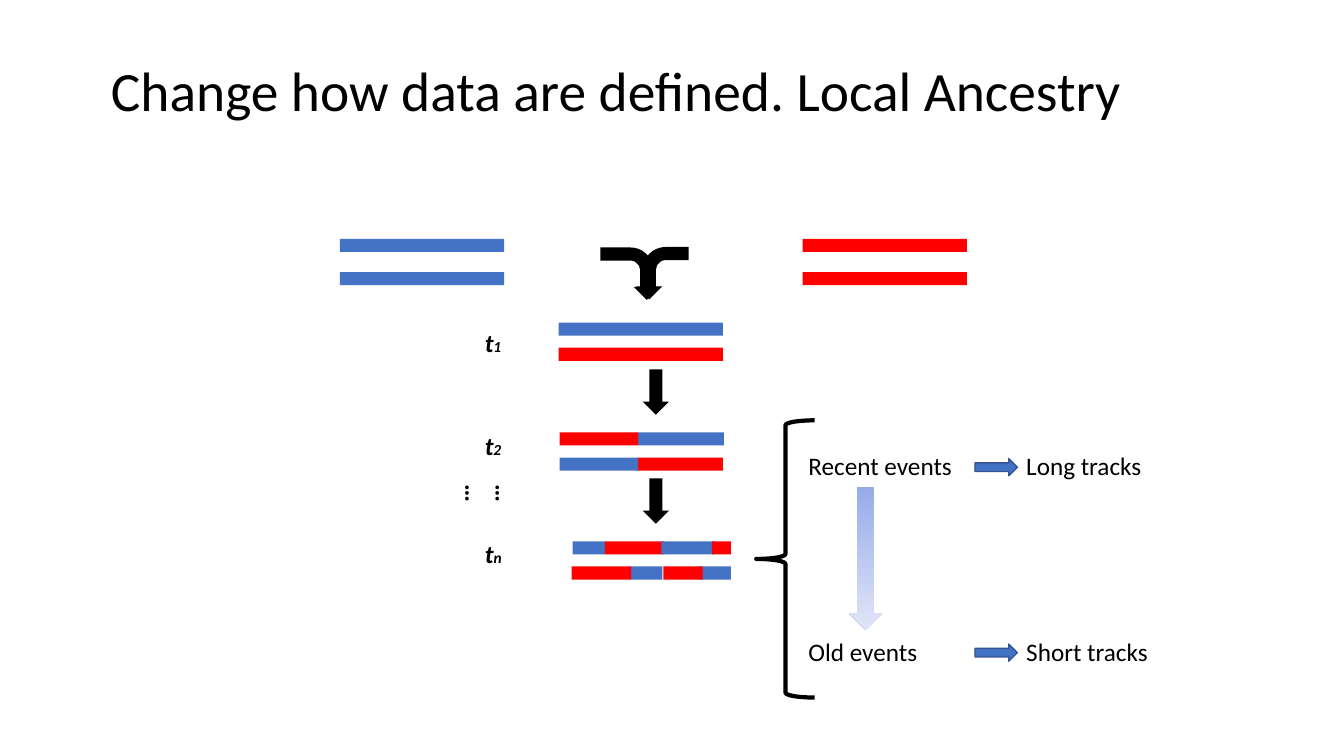
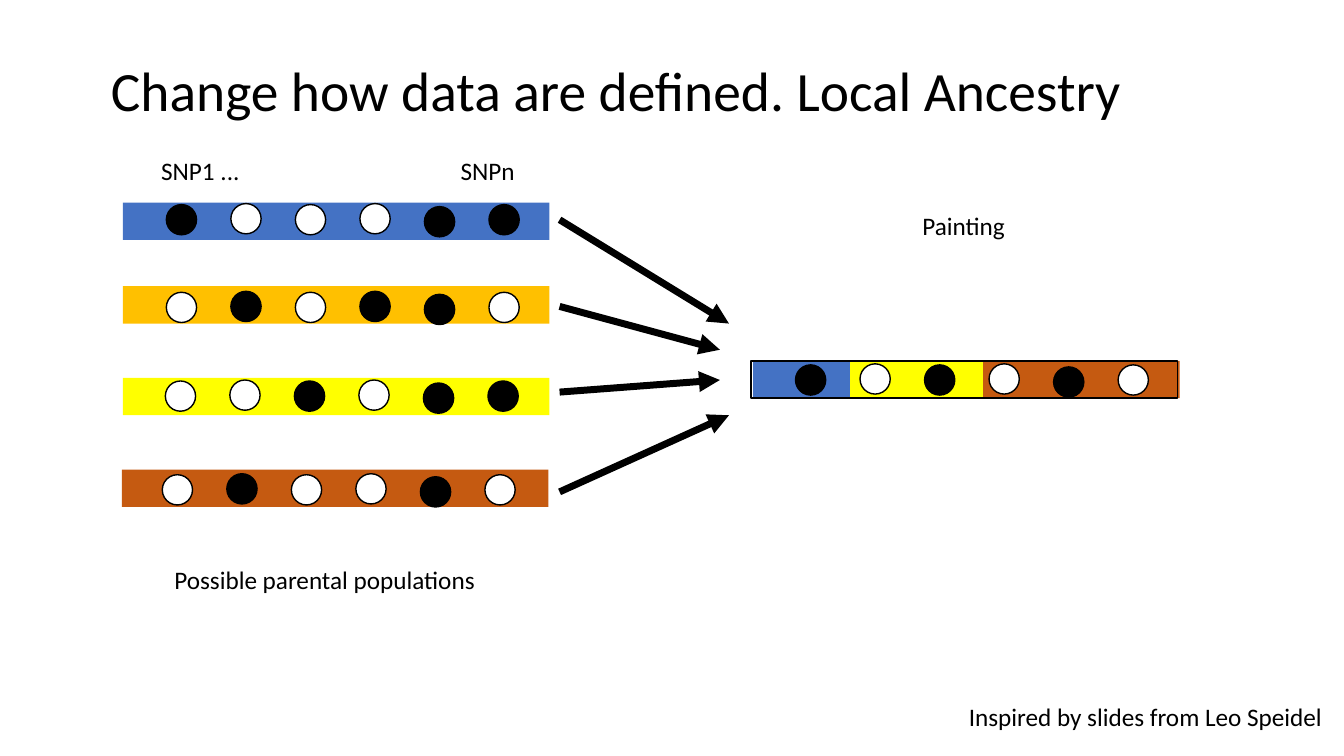
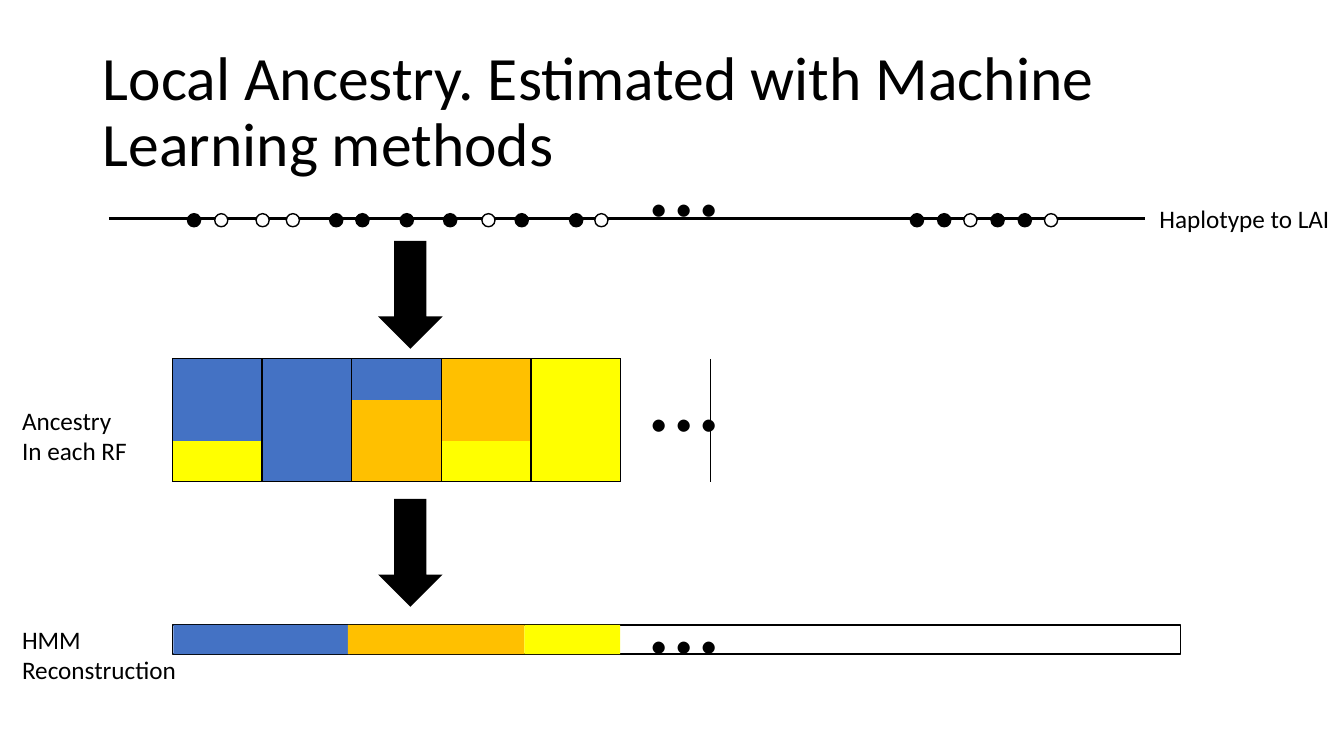
from dataclasses import dataclass
from typing import Optional

from lxml import etree
from pptx import Presentation
from pptx.dml.color import RGBColor
from pptx.enum import shapes, text
from pptx.oxml.ns import qn
from pptx.util import Inches, Pt

FONT = "Calibri"
COLORS = {
    "black": "000000", "white": "FFFFFF", "blue": "4472C4", "red": "FF0000",
    "orange": "FFC000", "yellow": "FFFF00", "brown": "C55A11",
    "edge": "325491", "fade_from": "96ABEA", "fade_to": "E0E5F7",
}
MSO = shapes.MSO_SHAPE


@dataclass
class Shape:
    x: float
    y: float
    w: float
    h: float
    fill: Optional[str] = None
    line: Optional[str] = None
    width: float = 1
    kind: MSO = MSO.RECTANGLE
    rot: float = 0
    flip: bool = False


@dataclass
class Label:
    x: float
    y: float
    w: float
    h: float
    text: str
    size: float = 18
    bold: bool = False
    sub: str = ""
    rot: float = 0
    wrap: bool = False


# Shared helpers
def rgb(name: str) -> RGBColor:
    return RGBColor.from_string(COLORS[name])


def style_font(font, size: float, bold: bool = False, italic: bool = False) -> None:
    font.name, font.size = FONT, Pt(size)
    font.bold, font.italic = bold, italic
    font.color.rgb = rgb("black")


def add_titled_slide(prs, title: str, box: tuple, size: float):
    s = prs.slides.add_slide(prs.slide_layouts[5])
    sp = s.shapes.title
    sp.left, sp.top, sp.width, sp.height = map(Inches, box)
    tf = sp.text_frame
    tf.text = title
    tf.word_wrap = True
    tf.auto_size = text.MSO_AUTO_SIZE.NONE
    tf.vertical_anchor = text.MSO_ANCHOR.MIDDLE
    p = tf.paragraphs[0]
    p.alignment, p.line_spacing = text.PP_ALIGN.LEFT, 0.9
    style_font(p.runs[0].font, size)
    return s


def draw_shape(s, item: Shape):
    sp = s.shapes.add_shape(item.kind, *map(Inches, (item.x, item.y, item.w, item.h)))
    sp.shadow.inherit = False
    sp.rotation = item.rot
    if item.flip:
        sp._element.spPr.find(qn("a:xfrm")).set("flipV", "1")
    if item.fill:
        sp.fill.solid()
        sp.fill.fore_color.rgb = rgb(item.fill)
    else:
        sp.fill.background()
    if item.line:
        sp.line.color.rgb = rgb(item.line)
        sp.line.width = Pt(item.width)
    else:
        sp.line.fill.background()
    return sp


def draw_label(s, item: Label):
    sp = s.shapes.add_textbox(*map(Inches, (item.x, item.y, item.w, item.h)))
    sp.rotation = item.rot
    tf = sp.text_frame
    tf.text = item.text
    tf.word_wrap = item.wrap
    tf.auto_size = text.MSO_AUTO_SIZE.SHAPE_TO_FIT_TEXT
    for p in tf.paragraphs:
        for r in p.runs:
            style_font(r.font, item.size, item.bold, bool(item.sub))
    if item.sub:
        r = tf.paragraphs[0].add_run()
        r.text = item.sub
        style_font(r.font, 11, item.bold, True)
    return sp


def draw_line(s, start: tuple, end: tuple, width: float, arrow: bool = False) -> None:
    cxn = s.shapes.add_connector(shapes.MSO_CONNECTOR.STRAIGHT, *map(Inches, start + end))
    cxn.line.color.rgb = rgb("black")
    cxn.line.width = Pt(width)
    if arrow:
        etree.SubElement(cxn.line._get_or_add_ln(), qn("a:tailEnd"), type="triangle")
    etree.SubElement(cxn._element.spPr, qn("a:effectLst"))


def draw_dot(s, x: float, y: float, d: float, bit: str) -> None:
    fill = "black" if bit == "1" else "white"
    draw_shape(s, Shape(x, y, d, d, fill, "black", kind=MSO.OVAL))


# Slide 1: tracks over generations
def build_generations(prs) -> None:
    s = add_titled_slide(prs, LOCAL_ANCESTRY, TITLE_BOX, 39.6)
    full = 1.63
    tracks = [  # top, then left, width and colour of each piece
        (2.37, [(3.37, full, "blue"), (7.96, full, "red")]),
        (2.7, [(3.37, full, "blue"), (7.96, full, "red")]),
        (3.2, [(5.54, full, "blue")]),
        (3.45, [(5.54, full, "red")]),
        (4.29, [(6.33, 0.85, "blue"), (5.55, 0.78, "red")]),
        (4.54, [(6.32, 0.85, "red"), (5.55, 0.78, "blue")]),
        (5.37, [(5.68, 0.32, "blue"), (6, 0.59, "red"),
                (6.56, 0.52, "blue"), (7.06, 0.19, "red")]),
        (5.62, [(6.25, 0.32, "blue"), (5.67, 0.59, "red"),
                (6.93, 0.32, "blue"), (6.58, 0.39, "red")]),
    ]
    for y, pieces in tracks:
        for x, w, color in pieces:
            draw_shape(s, Shape(x, y, w, 0.13, color))

    # Merging and descent arrows
    draw_shape(s, Shape(5.99, 2.42, 0.52, 0.59, "black", kind=MSO.BENT_ARROW, rot=90))
    draw_shape(s, Shape(6.31, 2.45, 0.52, 0.52, "black", kind=MSO.BENT_ARROW,
                        rot=90, flip=True))
    for y in (3.76, 4.84):
        draw_shape(s, Shape(6.28, y, 0.45, 0.26, "black", kind=MSO.RIGHT_ARROW, rot=90))

    # Time labels
    for y, w, sub in ((3.2, 0.46, "1"), (4.22, 0.46, "2"), (5.29, 0.38, "n")):
        draw_label(s, Label(4.71, y, w, 0.4, "t", bold=True, sub=sub, wrap=True))
    draw_label(s, Label(4.64, 4.57, 0.44, 0.71, "……", bold=True, rot=90, wrap=True))

    # Events and track lengths
    draw_shape(s, Shape(7.5, 4.17, 0.58, 2.75, line="black", width=3, kind=MSO.LEFT_BRACE))
    for y, event, event_w, track, track_w in (
        (4.42, "Recent events", 1.64, "Long tracks", 1.36),
        (6.26, "Old events", 1.29, "Short tracks", 1.42),
    ):
        draw_label(s, Label(7.92, y, event_w, 0.4, event))
        draw_shape(s, Shape(9.67, y + 0.13, 0.42, 0.17, "blue", "edge",
                            kind=MSO.RIGHT_ARROW))
        draw_label(s, Label(10.08, y, track_w, 0.4, track))
    sp = draw_shape(s, Shape(8.42, 4.83, 0.33, 1.42, kind=MSO.DOWN_ARROW))
    sp.fill.gradient()
    sp.fill.gradient_angle = 270
    for stop, color in zip(sp.fill.gradient_stops, ("fade_from", "fade_to")):
        stop.color.rgb = rgb(color)


# Slide 2: painting a haplotype from parental populations
def draw_snps(s, x: float, y: float, bits: str) -> None:
    offsets = (0, -0.01, 0, -0.01, 0.02, 0)
    for i, (bit, dy) in enumerate(zip(bits, offsets)):
        draw_dot(s, x + 0.64 * i, y + dy, 0.3, bit)


def build_painting(prs) -> None:
    s = add_titled_slide(prs, LOCAL_ANCESTRY, TITLE_BOX, 39.6)
    bar_w, bar_h = 4.23, 0.37
    for x, y, color, dot_x, dot_y, bits in (
        (1.22, 2.01, "blue", 1.65, 2.03, "100011"),
        (1.22, 2.84, "orange", 1.65, 2.9, "010110"),
        (1.22, 3.75, "yellow", 1.64, 3.78, "001011"),
        (1.21, 4.66, "brown", 1.61, 4.71, "010010"),
    ):
        draw_shape(s, Shape(x, y, bar_w, bar_h, color))
        draw_snps(s, dot_x, dot_y, bits)

    # Painted haplotype
    for x, w, color in ((7.47, bar_w, "brown"), (8.42, 1.33, "yellow"), (7.47, 0.96, "blue")):
        draw_shape(s, Shape(x, 3.58, w, bar_h, color))
    draw_snps(s, 7.89, 3.62, "101010")
    draw_shape(s, Shape(7.45, 3.58, bar_w, bar_h, line="black"))

    for y, end in ((2.18, (7.23, 3.21)), (3.04, (7.14, 3.47)),
                   (3.89, (7.14, 3.77)), (4.88, (7.23, 4.12))):
        draw_line(s, (5.55, y), end, 5, arrow=True)

    # Labels
    sp = draw_label(s, Label(1.5, 1.49, 3.78, 0.4, "SNP1 ...\tSNPn"))
    tabs = etree.SubElement(sp.text_frame.paragraphs[0]._p.get_or_add_pPr(), qn("a:tabLst"))
    etree.SubElement(tabs, qn("a:tab"), pos=str(Inches(2.97)), algn="l")
    for label in (
        Label(1.63, 5.55, 3.22, 0.4, "Possible parental populations"),
        Label(9.05, 2.04, 1.03, 0.4, "Painting"),
        Label(9.51, 6.91, 3.75, 0.4, "Inspired by slides from Leo Speidel"),
    ):
        draw_label(s, label)


# Slide 3: local ancestry inference
def set_borders(cell, sides: str) -> None:
    tc_pr = cell._tc.get_or_add_tcPr()
    for i, side in enumerate("LRTB"):
        ln = etree.Element(qn(f"a:ln{side}"), w=str(Pt(1)))
        if side in sides:
            fill = etree.SubElement(ln, qn("a:solidFill"))
            etree.SubElement(fill, qn("a:srgbClr"), val=COLORS["black"])
        else:
            etree.SubElement(ln, qn("a:noFill"))
        tc_pr.insert(i, ln)


def draw_ancestry_table(s) -> None:
    rows = (
        ("blue", "blue", "blue", "orange", "yellow"),
        ("blue", "blue", "orange", "orange", "yellow"),
        ("yellow", "blue", "orange", "yellow", "yellow"),
    )
    n_cols = 10
    tbl = s.shapes.add_table(len(rows), n_cols, Inches(1.71), Inches(3.56),
                             Inches(8.89), Inches(1.22)).table
    tbl.first_row = tbl.horz_banding = False
    for i, row in enumerate(rows):
        for j in range(n_cols):
            cell = tbl.cell(i, j)
            if j < len(row):
                cell.fill.solid()
                cell.fill.fore_color.rgb = rgb(row[j])
                sides = "LR" + {0: "T", len(rows) - 1: "B"}.get(i, "")
            else:
                cell.fill.background()
                sides = {len(row): "LR", len(row) + 1: "L"}.get(j, "")
            set_borders(cell, sides)


def build_inference(prs) -> None:
    s = add_titled_slide(prs, "Local Ancestry. Estimated with Machine Learning methods",
                         (0.92, 0.4, 11.5, 1.45), 44)
    # Haplotype
    draw_line(s, (1.08, 2.17), (11.36, 2.17), 2)
    snps = (
        ("100011", (1.86, 2.13, 2.54, 2.84, 3.27, 3.53)),
        ("110110", (3.97, 4.4, 4.78, 5.11, 5.65, 5.9)),
        ("110110", (9.03, 9.3, 9.56, 9.83, 10.1, 10.36)),
    )
    for bits, lefts in snps:
        for bit, x in zip(bits, lefts):
            draw_dot(s, x, 2.12, 0.13, bit)

    draw_ancestry_table(s)

    # Reconstructed haplotype
    draw_shape(s, Shape(1.71, 6.2, 10, 0.29, "white", "black"))
    for x, w, color in ((1.72, 1.75, "blue"), (3.45, 1.75, "orange"), (5.2, 0.95, "yellow")):
        draw_shape(s, Shape(x, 6.2, w, 0.29, color))

    for y in (2.39, 4.95):
        draw_shape(s, Shape(3.75, y, 0.64, 1.07, "black", kind=MSO.DOWN_ARROW))

    # Labels
    for y in (1.1, 3.23, 5.43):
        draw_label(s, Label(6.31, y, 0.96, 1.31, "...", size=72))
    for label in (
        Label(0.12, 3.97, 1.25, 0.71, "Ancestry\nIn each RF"),
        Label(0.12, 6.14, 1.75, 0.71, "HMM\nReconstruction"),
        Label(11.4, 1.97, 1.91, 0.4, "Haplotype to LAI"),
    ):
        draw_label(s, label)


LOCAL_ANCESTRY = "Change how data are defined. Local Ancestry"
TITLE_BOX = (1, 0.3, 11.02, 1.25)


def main() -> None:
    prs = Presentation()
    prs.slide_width, prs.slide_height = Inches(13.33), Inches(7.5)
    build_generations(prs)
    build_painting(prs)
    build_inference(prs)
    prs.save("out.pptx")


if __name__ == "__main__":
    main()
